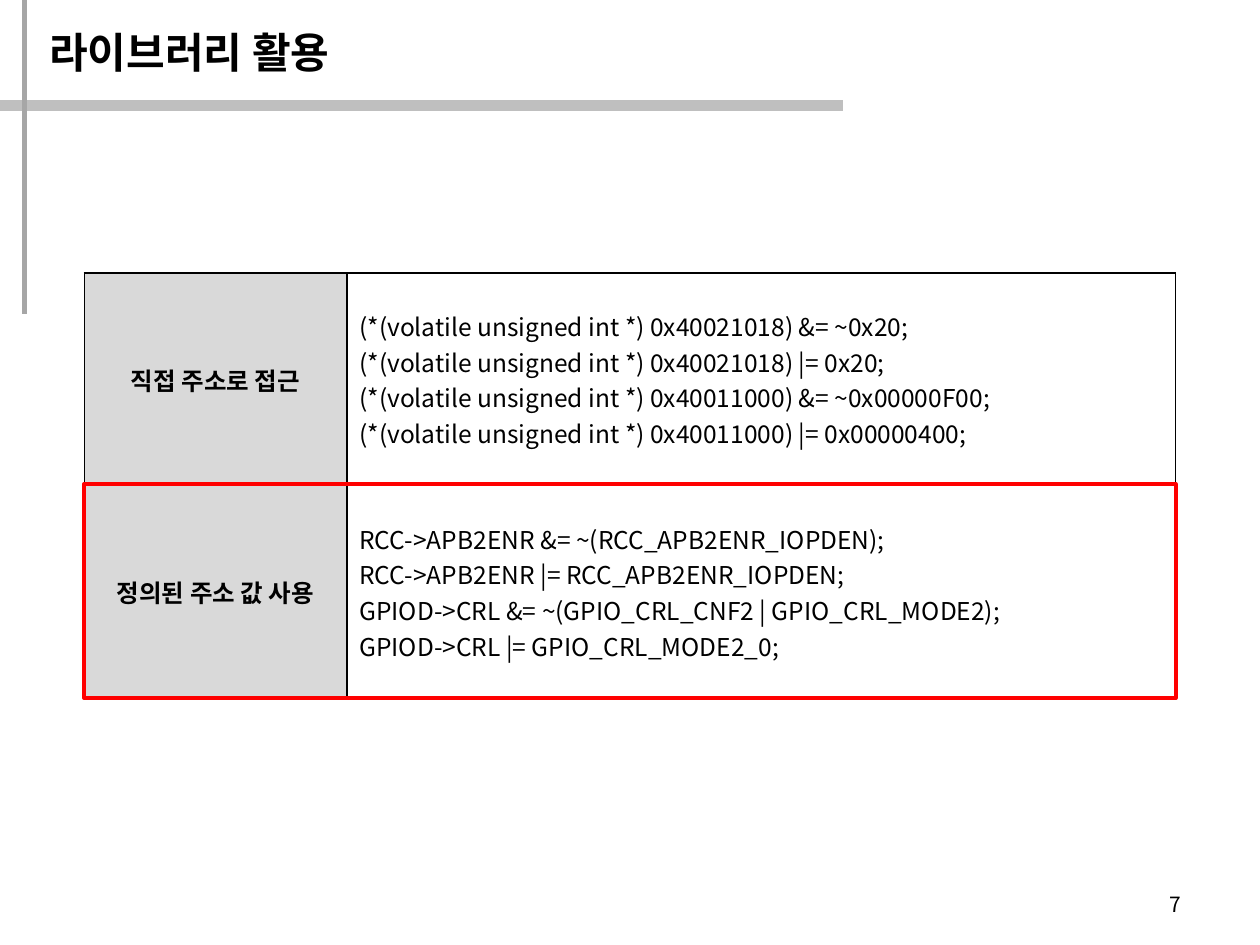
from dataclasses import dataclass

from lxml import etree
from pptx import Presentation
from pptx.dml.color import RGBColor
from pptx.enum.shapes import MSO_CONNECTOR, MSO_SHAPE
from pptx.enum.text import MSO_ANCHOR, PP_ALIGN
from pptx.oxml.ns import qn
from pptx.util import Pt

STRAIGHT = MSO_CONNECTOR.STRAIGHT
RECTANGLE = MSO_SHAPE.RECTANGLE
MIDDLE = MSO_ANCHOR.MIDDLE
LEFT, CENTER, RIGHT = PP_ALIGN.LEFT, PP_ALIGN.CENTER, PP_ALIGN.RIGHT
TITLE_ONLY = 5


@dataclass(frozen=True)
class Theme:
    ink: str = "000000"
    header_fill: str = "D9D9D9"
    wide_rule: str = "BFBFBF"
    thin_rule: str = "A6A6A6"
    highlight: str = "FF0000"
    title_font: str = "Times New Roman"
    body_font: str = "Noto Sans CJK KR"
    title_size: float = 24
    table_size: float = 14
    number_size: float = 12
    border_width: float = 1
    highlight_width: float = 2.25


class SlideBuilder:
    def __init__(self, page, theme):
        self.page = page
        self.theme = theme

    def style_text(self, frame, size, font_name, bold=False, align=LEFT):
        for para in frame.paragraphs:
            para.alignment = align
            for span in para.runs:
                font = span.font
                font.size = Pt(size)
                font.bold = bold
                font.name = font_name
                font.color.rgb = RGBColor.from_string(self.theme.ink)
                east_asian = etree.SubElement(font._element, qn("a:ea"))
                east_asian.set("typeface", self.theme.body_font)

    def rule(self, start, end, color, width):
        line = self.page.shapes.add_connector(STRAIGHT, *map(Pt, start + end))
        line.line.color.rgb = RGBColor.from_string(color)
        line.line.width = Pt(width)
        etree.SubElement(line._element.spPr, qn("a:effectLst"))

    def title(self, text, left, top, width, height):
        box = self.page.shapes.title
        box.left, box.top, box.width, box.height = map(Pt, (left, top, width, height))
        frame = box.text_frame
        frame.text = text
        frame.vertical_anchor = MIDDLE
        self.style_text(frame, self.theme.title_size, self.theme.title_font, bold=True)

    def page_number(self, text, left, top, width, height):
        box = self.page.shapes.add_textbox(*map(Pt, (left, top, width, height)))
        frame = box.text_frame
        frame.word_wrap = True
        frame.text = text
        frame.vertical_anchor = MIDDLE
        self.style_text(frame, self.theme.number_size, self.theme.body_font, align=RIGHT)

    def cell_borders(self, cell):
        properties = cell._tc.get_or_add_tcPr()
        for side in ("lnL", "lnR", "lnT", "lnB"):
            border = etree.SubElement(properties, qn(f"a:{side}"))
            border.set("w", str(Pt(self.theme.border_width)))
            fill = etree.SubElement(border, qn("a:solidFill"))
            etree.SubElement(fill, qn("a:srgbClr")).set("val", self.theme.ink)

    def comparison_table(self, rows, left, top, widths, row_height):
        frame = self.page.shapes.add_table(
            len(rows), len(widths), Pt(left), Pt(top),
            Pt(sum(widths)), Pt(row_height * len(rows)))
        table = frame.table
        table.first_row = table.horz_banding = False
        for column, width in zip(table.columns, widths):
            column.width = Pt(width)
        for row_index, texts in enumerate(rows):
            table.rows[row_index].height = Pt(row_height)
            for column_index, text in enumerate(texts):
                is_header = column_index == 0
                cell = table.cell(row_index, column_index)
                cell.text_frame.text = text
                cell.vertical_anchor = MIDDLE
                self.cell_borders(cell)
                if is_header:
                    cell.fill.solid()
                    cell.fill.fore_color.rgb = RGBColor.from_string(self.theme.header_fill)
                else:
                    cell.fill.background()
                self.style_text(cell.text_frame, self.theme.table_size, self.theme.body_font,
                                bold=is_header, align=CENTER if is_header else LEFT)

    def highlight_frame(self, left, top, width, height):
        box = self.page.shapes.add_shape(RECTANGLE, *map(Pt, (left, top, width, height)))
        box.shadow.inherit = False
        box.fill.background()
        box.line.color.rgb = RGBColor.from_string(self.theme.highlight)
        box.line.width = Pt(self.theme.highlight_width)


ACCESS_METHODS = [
    ("직접 주소로 접근", "\n".join([
        "(*(volatile unsigned int *) 0x40021018) &= ~0x20;",
        "(*(volatile unsigned int *) 0x40021018) |= 0x20;",
        "(*(volatile unsigned int *) 0x40011000) &= ~0x00000F00;",
        "(*(volatile unsigned int *) 0x40011000) |= 0x00000400;",
    ])),
    ("정의된 주소 값 사용", "\n".join([
        "RCC->APB2ENR &= ~(RCC_APB2ENR_IOPDEN);",
        "RCC->APB2ENR |= RCC_APB2ENR_IOPDEN;",
        "GPIOD->CRL &= ~(GPIO_CRL_CNF2 | GPIO_CRL_MODE2);",
        "GPIOD->CRL |= GPIO_CRL_MODE2_0;",
    ])),
]


def main():
    deck = Presentation()
    deck.slide_width, deck.slide_height = Pt(720), Pt(540)
    theme = Theme()
    page = deck.slides.add_slide(deck.slide_layouts[TITLE_ONLY])
    builder = SlideBuilder(page, theme)

    builder.rule((-0.7, 60.3), (481.7, 60.3), theme.wide_rule, 6)
    builder.rule((14.2, 0), (14.2, 179.5), theme.thin_rule, 3)
    builder.title("라이브러리 활용", 21, 7.5, 544, 44.6)
    builder.page_number("7", 514, 502, 168, 28.8)

    left, top, row_height = 48.2, 156, 121.5
    widths = (150, 473.6)
    builder.comparison_table(ACCESS_METHODS, left, top, widths, row_height)
    builder.highlight_frame(left, top + row_height - 1, sum(widths), row_height + 1)

    deck.save("out.pptx")


if __name__ == "__main__":
    main()
